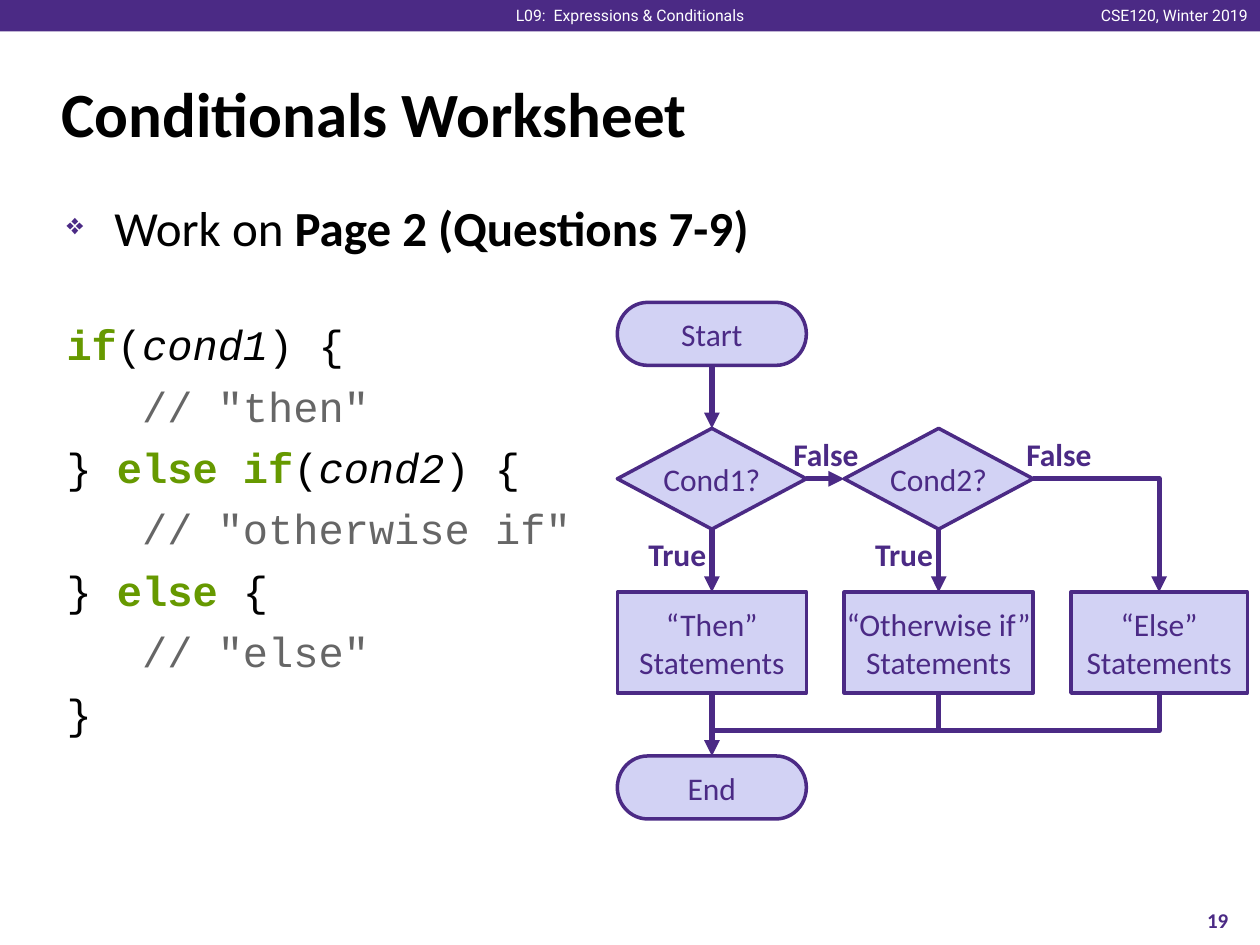
import pptx
import pptx.dml.color
import pptx.enum.shapes
import pptx.enum.text
import pptx.oxml
import pptx.oxml.ns
import pptx.util
from pptx.util import Inches

PURPLE, PALE, GREEN, GRAY = "4B2A85", "D2D2F4", "669900", "666666"
BLACK, WHITE = "000000", "FFFFFF"
SHAPE = pptx.enum.shapes.MSO_SHAPE
LINK = pptx.enum.shapes.MSO_CONNECTOR
ALIGN = pptx.enum.text.PP_ALIGN
ANCHOR = pptx.enum.text.MSO_ANCHOR
CODE = [
    [("if", "key"), ("(", ""), ("cond1", "arg"), (") {", "")],
    [('   // "then"', "note")],
    [("} ", ""), ("else if", "key"), ("(", ""), ("cond2", "arg"), (") {", "")],
    [('   // "otherwise if"', "note")],
    [("} ", ""), ("else", "key"), (" {", "")],
    [('   // "else"', "note")],
    [("}", "")],
]


def color(text):
    """Turn a hex string into a colour."""
    return pptx.dml.color.RGBColor.from_string(text)


def style(font, name, size, tint, bold=False):
    """Set the main properties of a font."""
    font.name, font.size, font.bold = name, pptx.util.Pt(size), bold
    font.color.rgb = color(tint)


def child(parent, tag, **attrs):
    """Append a drawing element to a parent."""
    node = pptx.oxml.parse_xml(f"<a:{tag} {pptx.oxml.ns.nsdecls('a')}/>")
    for key, value in attrs.items():
        node.set(key, value)
    parent.append(node)
    return node


def fill(shape, lines, size, tint, bold=False, name="Calibri",
         align=ALIGN.CENTER, anchor=ANCHOR.MIDDLE, wrap=True, inset=0.1):
    """Put evenly styled lines into a shape."""
    frame = shape.text_frame
    frame.word_wrap, frame.vertical_anchor = wrap, anchor
    frame.margin_left = frame.margin_right = Inches(inset)
    for i, line in enumerate(lines):
        para = frame.add_paragraph() if i else frame.paragraphs[0]
        para.text, para.alignment = line, align
        style(para.font, name, size, tint, bold)


def label(slide, box, text, size, tint, **opts):
    """Add a one-line text box."""
    fill(slide.shapes.add_textbox(*map(Inches, box)), [text], size, tint, **opts)


def block(slide, kind, box, tint):
    """Add a plain filled shape."""
    shape = slide.shapes.add_shape(kind, *map(Inches, box))
    shape.shadow.inherit = False
    shape.fill.solid()
    shape.fill.fore_color.rgb = color(tint)
    shape.line.fill.background()
    return shape


def node(slide, kind, box, lines, inset=0.1, wrap=True):
    """Add an outlined step of the flowchart."""
    shape = block(slide, kind, box, PALE)
    shape.line.color.rgb = color(PURPLE)
    shape.line.width = pptx.util.Pt(2)
    fill(shape, lines, 18, PURPLE, inset=inset, wrap=wrap)


def link(slide, start, end, arrow=True):
    """Join two points, with one bend when they are not in line."""
    bent = start[0] != end[0] and start[1] != end[1]
    kind = LINK.ELBOW if bent else LINK.STRAIGHT
    line = slide.shapes.add_connector(kind, *map(Inches, (*start, *end)))
    line.line.color.rgb = color(PURPLE)
    line.line.width = pptx.util.Pt(3)
    props = line._element.spPr
    if bent:
        props.find(pptx.oxml.ns.qn("a:prstGeom")).set("prst", "bentConnector2")
    if arrow:
        child(line.line._get_or_add_ln(), "tailEnd", type="triangle")
    child(props, "effectLst")


def header(slide, left, top, width, height):
    """Draw the top bar with the lecture and course names."""
    block(slide, SHAPE.RECTANGLE, (left, top, width, height), PURPLE)
    opts = dict(name="Roboto", anchor=ANCHOR.TOP, wrap=False)
    label(slide, (left + width - 1.4, top, 1.4, height), "CSE120, Winter 2019",
          9, WHITE, align=ALIGN.RIGHT, **opts)
    label(slide, (left + width / 2 - 1.03, top, 2.06, height),
          "L09:  Expressions & Conditionals", 9, WHITE, **opts)


def task(slide, left, top, width, height):
    """Write the bulleted task."""
    box = slide.shapes.add_textbox(*map(Inches, (left, top, width, height)))
    box.text_frame.word_wrap = True
    para = box.text_frame.paragraphs[0]
    props = para._p.get_or_add_pPr()
    props.set("marL", str(Inches(0.38)))
    props.set("indent", str(-Inches(0.38)))
    child(child(props, "buClr"), "srgbClr", val=PURPLE)
    child(props, "buSzPct", val="60000")
    child(props, "buChar", char="❖")
    style(para.font, "Calibri", 28, BLACK)
    for text, bold in (("Work on ", False), ("Page 2 (Questions 7-9)", True)):
        run = para.add_run()
        run.text = text
        style(run.font, "Calibri", 28, BLACK, bold)


def code(slide, left, top, width, height):
    """Write the code sample with coloured keywords."""
    box = slide.shapes.add_textbox(*map(Inches, (left, top, width, height)))
    frame = box.text_frame
    frame.word_wrap = True
    tints = {"key": GREEN, "note": GRAY}
    for i, line in enumerate(CODE):
        para = frame.add_paragraph() if i else frame.paragraphs[0]
        if i:
            para.space_before = pptx.util.Pt(6.3)
        for text, role in line:
            run = para.add_run()
            run.text = text
            style(run.font, "Courier New", 24, tints.get(role, BLACK), role == "key")
            run.font.italic = role == "arg"


def flow(slide, left, top, width, height):
    """Draw the flowchart of the three branches."""
    wide, tall, cap, step = 1.5, 0.8, 0.5, 1.8
    mid, last = left + wide / 2, left + 4.3
    test, act, join = top + 1, top + 2.3, top + 3.4
    foot = top + height - cap
    for y, text in ((top, "Start"), (foot, "End")):
        node(slide, SHAPE.FLOWCHART_TERMINATOR, (left, y, wide, cap), [text])
    link(slide, (mid, top + cap), (mid, test))
    names = ("“Then”", "“Otherwise if”")
    for i, name in enumerate(names):
        x = left + i * step
        node(slide, SHAPE.FLOWCHART_DECISION, (x, test, wide, tall),
             [f"Cond{i + 1}?"], 0, False)
        node(slide, SHAPE.FLOWCHART_PROCESS, (x, act, wide, tall),
             [name, "Statements"], 0)
        link(slide, (mid + i * step, test + tall), (mid + i * step, act))
        label(slide, (x + 0.1, test + tall, 0.75, 0.4), "True", 18, PURPLE,
              bold=True, wrap=False, anchor=ANCHOR.TOP)
    node(slide, SHAPE.FLOWCHART_PROCESS, (left + 2 * step, act, width - 2 * step, tall),
         ["“Else”", "Statements"])
    for x in (1.28, 3.13):
        label(slide, (left + x, test, 0.75, 0.4), "False", 18, PURPLE,
              bold=True, wrap=False, anchor=ANCHOR.TOP)
    level = test + tall / 2
    link(slide, (left + wide, level), (left + step, level))
    link(slide, (left + step + wide, level), (last, act))
    link(slide, (mid, join), (mid + step, act + tall), False)
    link(slide, (mid + step, join), (last, act + tall), False)
    link(slide, (mid, act + tall), (mid, foot))


def main():
    """Build and save the slide."""
    deck = pptx.Presentation()
    deck.slide_width, deck.slide_height = Inches(10), Inches(7.5)
    slide = deck.slides.add_slide(deck.slide_layouts[6])
    header(slide, 0, 0, 10, 0.25)
    label(slide, (0.39, 0.48, 9.19, 0.83), "Conditionals Worksheet", 36, BLACK,
          bold=True, align=ALIGN.LEFT)
    task(slide, 0.43, 1.52, 9.15, 0.6)
    code(slide, 0.43, 2.48, 4.4, 3.4)
    flow(slide, 4.9, 2.4, 5, 4.1)
    label(slide, (9.33, 7.1, 0.67, 0.4), "19", 12, PURPLE, bold=True)
    deck.save("out.pptx")


if __name__ == "__main__":
    main()
